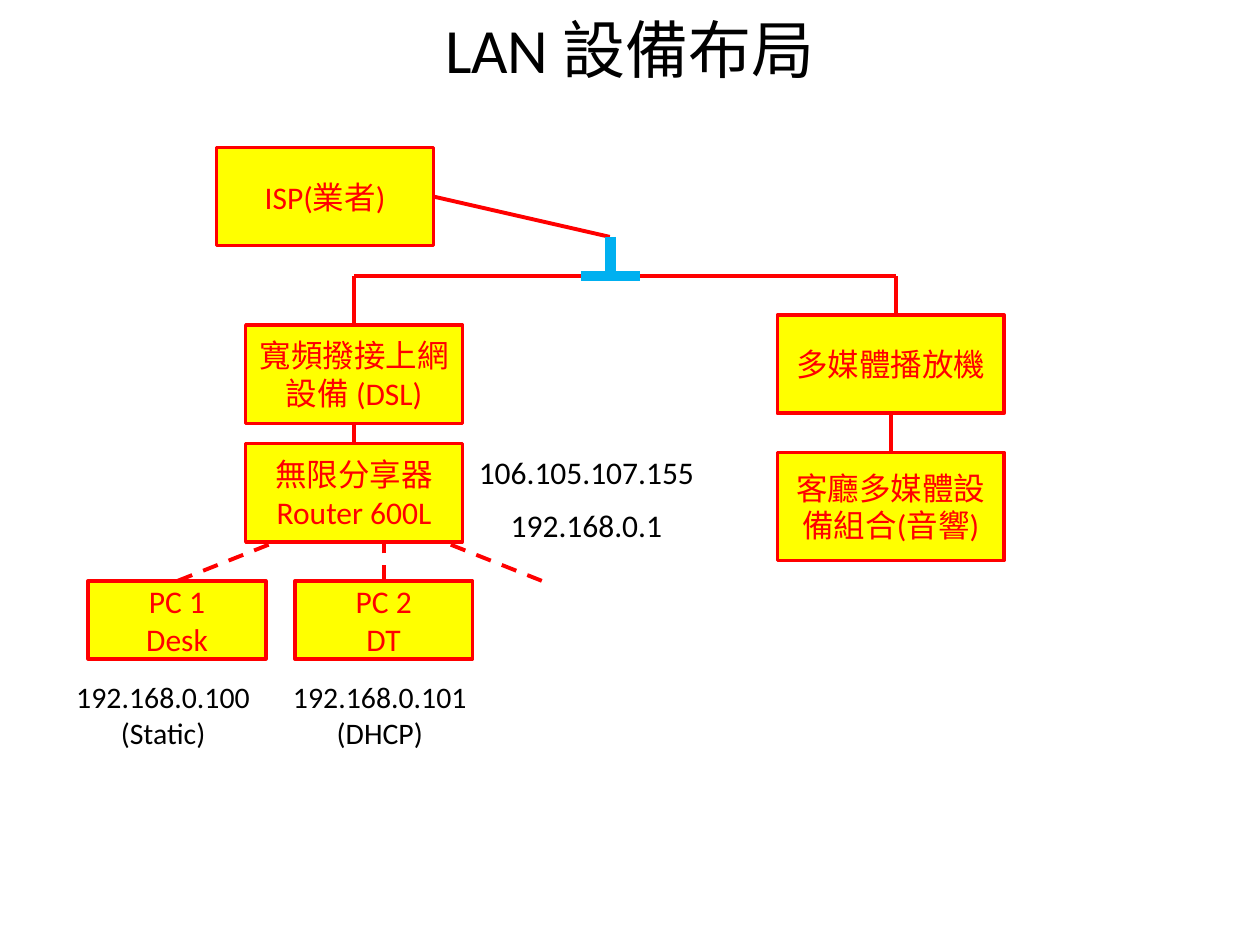
from pptx import Presentation
from pptx.dml.color import RGBColor
from pptx.enum.dml import MSO_LINE
from pptx.enum.shapes import MSO_CONNECTOR, MSO_SHAPE
from pptx.enum.text import MSO_ANCHOR, PP_ALIGN
from pptx.oxml.ns import qn
from pptx.util import Inches, Pt
from lxml import etree

YELLOW = RGBColor(0xFF, 0xFF, 0x00)
RED = RGBColor(0xFF, 0x00, 0x00)
BLUE = RGBColor(0x00, 0xB0, 0xF0)
BLACK = RGBColor(0x00, 0x00, 0x00)
FONT = "Calibri"
DASH = MSO_LINE.DASH
MIDDLE = MSO_ANCHOR.MIDDLE
CENTER = PP_ALIGN.CENTER
RECTANGLE = MSO_SHAPE.RECTANGLE
STRAIGHT = MSO_CONNECTOR.STRAIGHT


def write_lines(frame, lines, size, color, spacing=None, gap=0):
    frame.word_wrap = True
    frame.vertical_anchor = MIDDLE
    for index, line in enumerate(lines):
        paragraph = frame.add_paragraph() if index else frame.paragraphs[0]
        paragraph.alignment = CENTER
        if spacing:
            paragraph.line_spacing = spacing
        if index:
            paragraph.space_before = Pt(gap)
        run = paragraph.add_run()
        run.text = line
        run.font.name = FONT
        run.font.size = Pt(size)
        run.font.color.rgb = color


def add_title(slide, box, text):
    title = slide.shapes.title
    title.left, title.top, title.width, title.height = map(Inches, box)
    write_lines(title.text_frame, [text], 36, BLACK)


def add_device(slide, box, *lines):
    device = slide.shapes.add_shape(RECTANGLE, *map(Inches, box))
    device.shadow.inherit = False
    device.fill.solid()
    device.fill.fore_color.rgb = YELLOW
    device.line.color.rgb = RED
    device.line.width = Pt(2)
    write_lines(device.text_frame, lines, 18, RED)


def add_address(slide, box, *lines, size=18, spacing=None):
    label = slide.shapes.add_textbox(*map(Inches, box))
    write_lines(label.text_frame, lines, size, BLACK, spacing, gap=4.2)


def add_cable(slide, start, end, color=RED, width=2.25, dash=None):
    cable = slide.shapes.add_connector(STRAIGHT, *map(Inches, (*start, *end)))
    cable.line.color.rgb = color
    cable.line.width = Pt(width)
    if dash:
        cable.line.dash_style = dash
    etree.SubElement(cable._element.spPr, qn("a:effectLst"))


def add_splitter(slide, box):
    """Blue inverted T that divides the incoming line."""
    left, top, width, height = box
    middle, bottom = left + width / 2, top + height
    add_cable(slide, (middle, top), (middle, bottom), BLUE, 6)
    add_cable(slide, (left, bottom), (left + width, bottom), BLUE, 6)


def add_incoming_line(slide, box):
    """Provider, splitter and the two branches, from the provider's corner."""
    left, top, width, height = box
    bottom = top + height
    isp_width, isp_height = 1.72, 0.78
    splitter = (4.61, 1.88, 0.47, bottom - 1.88)
    dsl_x, player_x = 2.81, left + width
    add_cable(slide, (left + isp_width, top + isp_height / 2), (4.84, 1.88))
    add_cable(slide, (5, bottom), (player_x, bottom))
    add_cable(slide, (dsl_x, bottom), (4.69, bottom))
    add_splitter(slide, splitter)
    add_cable(slide, (dsl_x, 2.58), (dsl_x, bottom))
    add_cable(slide, (player_x, 2.5), (player_x, bottom))
    add_device(slide, (left, top, isp_width, isp_height), "ISP(業者)")


def add_network(slide, box):
    """DSL modem above the wireless router, with the router's addresses."""
    left, top, width, height = box
    device_height = 0.78
    router_top = top + height - device_height
    middle = left + width / 2
    add_cable(slide, (middle, top + device_height), (middle, router_top))
    add_device(slide, (left, top, width, device_height), "寬頻撥接上網設備 (DSL)")
    add_device(slide, (left, router_top, width, device_height),
               "無限分享器", "Router 600L")
    add_address(slide, (3.52, 3.46, 2.27, 0.57), "106.105.107.155")
    add_address(slide, (3.52, 3.93, 2.27, 0.47), "192.168.0.1")


def add_computers(slide, box):
    """Row of computers with their addresses, wired up to the router."""
    left, top, width, height = box
    pc_width, pc_height = 1.41, 0.62
    pitch = width - pc_width
    label_top, label_height = top + 0.76, height - 0.76
    computers = [
        ("PC 1", "Desk", "192.168.0.100", "(Static)", 0.16),
        ("PC 2", "DT", "192.168.0.101", "(DHCP)", 1.88),
    ]
    for index, (name, model, address, mode, label_left) in enumerate(computers):
        add_device(slide, (left + index * pitch, top, pc_width, pc_height),
                   name, model)
        add_address(slide, (label_left, label_top, 2.27, label_height),
                    address, mode, size=17, spacing=0.8)
    for pc_x, router_x in [(1.41, 2.19), (3.05, 3.05), (4.3, 3.52)]:
        add_cable(slide, (pc_x, top), (router_x, 4.3), dash=DASH)


def add_media(slide, box):
    """Media player above the living-room set."""
    left, top, width, height = box
    player_height, set_height = 0.78, 0.86
    set_top = top + height - set_height
    middle = left + width / 2
    add_cable(slide, (middle, top + player_height), (middle, set_top))
    add_device(slide, (left, top, width, player_height), "多媒體播放機")
    add_device(slide, (left, set_top, width, set_height),
               "客廳多媒體設備組合(音響)")


def main():
    presentation = Presentation()
    presentation.slide_width = Inches(10)
    presentation.slide_height = Inches(7.5)
    slide = presentation.slides.add_slide(presentation.slide_layouts[5])
    add_title(slide, (0, 0, 10, 0.76), "LAN 設備布局")
    add_network(slide, (1.95, 2.58, 1.72, 1.72))
    add_computers(slide, (0.7, 4.61, 3.05, 1.41))
    add_media(slide, (6.17, 2.5, 1.8, 1.95))
    add_incoming_line(slide, (1.72, 1.17, 5.39, 1.02))
    presentation.save("out.pptx")


if __name__ == "__main__":
    main()
